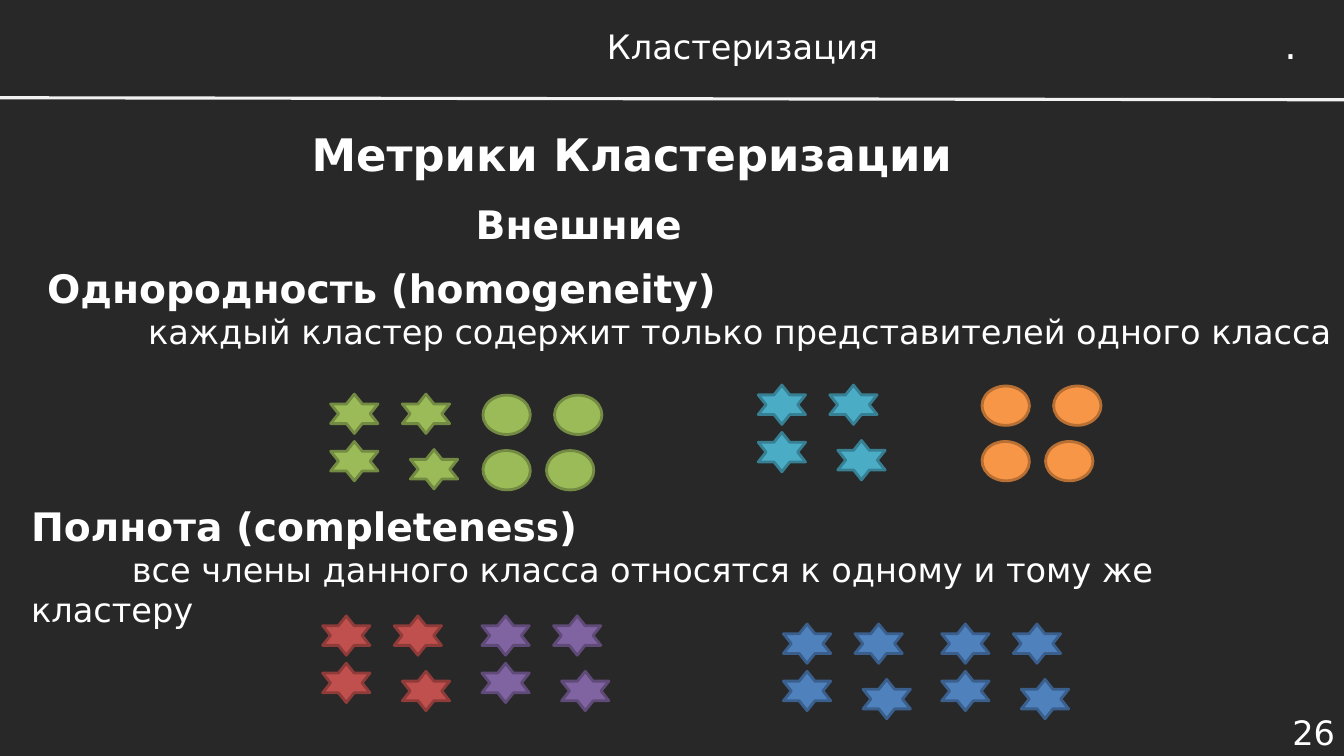
from lxml.etree import SubElement
from pptx import Presentation
from pptx.dml.color import RGBColor
from pptx.enum.shapes import MSO_CONNECTOR, MSO_SHAPE
from pptx.enum.text import MSO_ANCHOR, MSO_AUTO_SIZE, PP_ALIGN
from pptx.oxml.ns import qn
from pptx.util import Inches, Pt

FONT = "DejaVu Sans"
COLORS = {
    "background": "272827", "text": "FFFFFF", "rule": "F2F2F2",
    "green": "9BBB59", "green line": "738A42",
    "teal": "4BACC6", "teal line": "377F92",
    "orange": "F79646", "orange line": "B76F34",
    "red": "C0504D", "red line": "8E3B39",
    "purple": "8064A2", "purple line": "5F4A78",
    "blue": "4F81BD", "blue line": "3A5F8C",
}

TITLE = ("Метрики Кластеризации", (1.94, 1.07, 8.66, 0.91))
HEADER = ("Кластеризация", (3.44, 0.19, 7.85, 0.53))
PAGE_NUMBER = ("26", (12.29, 7.05, 1.05, 0.42))
DOT = (".", (12.64, 0.15, 0.34, 0.57))
SUBTITLE = ("Внешние", (4.62, 1.94, 3.25, 0.57))
METRICS = [
    ("Однородность (homogeneity)",
     "каждый кластер содержит только представителей одного класса",
     (0.37, 2.57, 13.15, 0.98)),
    ("Полнота (completeness)",
     "все члены данного класса относятся к одному и тому же кластеру",
     (0.21, 4.93, 12.91, 0.98)),
]

MARK_SIZE = (0.47, 0.39)
# Offsets from the group's corner, with rotation in degrees
STARS = (MSO_SHAPE.STAR_6_POINT,
         [(0, 0, 0), (0, 0.47, 0), (0.79, 0.55, 0), (0.71, 0, 0)])
CIRCLES = (MSO_SHAPE.OVAL,
           [(0, 0, 0), (0, 0.55, 2.5), (0.63, 0.55, 0), (0.71, 0, 0)])
GROUPS = [
    (STARS, "green", 3.28, 3.91),
    (CIRCLES, "green", 4.79, 3.92),
    (STARS, "teal", 7.52, 3.82),
    (CIRCLES, "orange", 9.74, 3.83),
    (STARS, "red", 3.2, 6.11),
    (STARS, "purple", 4.78, 6.11),
    (STARS, "blue", 7.77, 6.19),
    (STARS, "blue", 9.34, 6.19),
]


def color(name):
    return RGBColor.from_string(COLORS[name])


def write(paragraph, text, size=24, bold=False, align=PP_ALIGN.LEFT, indent=0):
    if indent:
        properties = paragraph._p.get_or_add_pPr()
        properties.set("marL", "0")
        properties.set("indent", str(Inches(indent)))
    paragraph.alignment = align
    run = paragraph.add_run()
    run.text = text
    run.font.name = FONT
    run.font.size = Pt(size)
    run.font.bold = bold
    run.font.color.rgb = color("text")


def place(shape, box, anchor=MSO_ANCHOR.TOP, wrap=True):
    """Position a text shape and return its first paragraph."""
    shape.left, shape.top, shape.width, shape.height = map(Inches, box)
    frame = shape.text_frame
    frame.auto_size = MSO_AUTO_SIZE.NONE
    frame.word_wrap = wrap
    frame.vertical_anchor = anchor
    return frame.paragraphs[0]


def add_text(slide, text, box, anchor=MSO_ANCHOR.TOP, wrap=True, **style):
    shape = slide.shapes.add_textbox(0, 0, 0, 0)
    write(place(shape, box, anchor, wrap), text, **style)
    return shape


def add_rule(slide):
    rule = slide.shapes.add_connector(
        MSO_CONNECTOR.STRAIGHT, 0, Inches(0.97), Inches(13.33), Inches(0.99))
    rule.line.color.rgb = color("rule")
    rule.line.width = Pt(2.25)
    SubElement(rule._element.spPr, qn("a:effectLst"))


def add_group(slide, marks, fill, left, top):
    kind, offsets = marks
    for x, y, rotation in offsets:
        mark = slide.shapes.add_shape(
            kind, Inches(left + x), Inches(top + y), *map(Inches, MARK_SIZE))
        mark.rotation = rotation
        mark.shadow.inherit = False
        mark.fill.solid()
        mark.fill.fore_color.rgb = color(fill)
        mark.line.color.rgb = color(f"{fill} line")
        mark.line.width = Pt(2)


def main():
    presentation = Presentation()
    presentation.slide_width = Inches(13.33)
    presentation.slide_height = Inches(7.5)
    slide = presentation.slides.add_slide(presentation.slide_layouts[5])
    slide.background.fill.solid()
    slide.background.fill.fore_color.rgb = color("background")

    title, title_box = TITLE
    write(place(slide.shapes.title, title_box, MSO_ANCHOR.MIDDLE), title,
          size=32, bold=True, align=PP_ALIGN.CENTER)
    add_text(slide, *HEADER, anchor=MSO_ANCHOR.MIDDLE, align=PP_ALIGN.CENTER)
    add_text(slide, *PAGE_NUMBER, anchor=MSO_ANCHOR.MIDDLE, align=PP_ALIGN.RIGHT)
    add_text(slide, *DOT, wrap=False, size=28)
    add_rule(slide)
    add_text(slide, *SUBTITLE, size=28, bold=True)
    for name, meaning, box in METRICS:
        shape = add_text(slide, name, box, size=28, bold=True)
        write(shape.text_frame.add_paragraph(), meaning, indent=1)
    for group in GROUPS:
        add_group(slide, *group)

    presentation.save("out.pptx")


if __name__ == "__main__":
    main()
